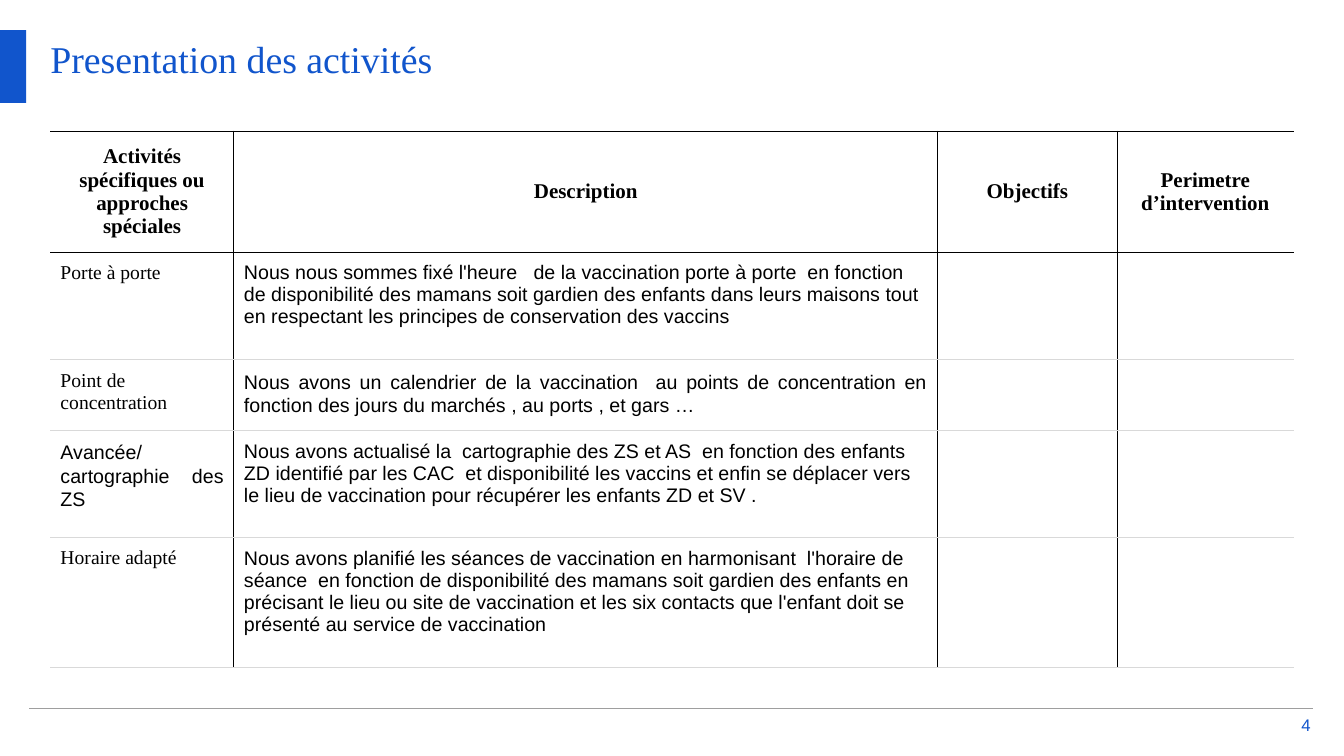
from dataclasses import dataclass

from lxml.etree import SubElement
from pptx import Presentation
from pptx.dml.color import RGBColor
from pptx.enum.shapes import MSO_CONNECTOR, MSO_SHAPE
from pptx.enum.text import MSO_ANCHOR, PP_ALIGN
from pptx.oxml.ns import qn
from pptx.util import Inches, Pt

BLUE, BLACK, GREY, RULE = "1155CC", "000000", "D9D9D9", "9E9E9E"
SERIF, SANS = "Times New Roman", "Arial"


@dataclass
class Row:
    name: str
    text: str
    height: float
    font: str = SERIF
    name_just: bool = False
    text_just: bool = False


HEADS = ["Activités spécifiques ou approches spéciales", "Description",
         "Objectifs", "Perimetre d’intervention"]
WIDTHS = [1.82, 6.98, 1.78, 1.75]
HEAD_H = 1.11
ROWS = [
    Row("Porte à porte",
        "Nous nous sommes fixé l'heure   de la vaccination porte à porte  en fonction "
        "de disponibilité des mamans soit gardien des enfants dans leurs maisons tout "
        "en respectant les principes de conservation des vaccins", 1.07),
    Row("Point de concentration",
        "Nous avons un calendrier de la vaccination  au points de concentration en "
        "fonction des jours du marchés , au ports , et gars …", 0.68, text_just=True),
    Row("Avancée/cartographie des ZS",
        "Nous avons actualisé la  cartographie des ZS et AS  en fonction des enfants "
        "ZD identifié par les CAC  et disponibilité les vaccins et enfin se déplacer vers "
        "le lieu de vaccination pour récupérer les enfants ZD et SV .", 1.06,
        font=SANS, name_just=True),
    Row("Horaire adapté",
        "Nous avons planifié les séances de vaccination en harmonisant  l'horaire de "
        "séance  en fonction de disponibilité des mamans soit gardien des enfants en "
        "précisant le lieu ou site de vaccination et les six contacts que l'enfant doit se "
        "présenté au service de vaccination", 1.29),
]


def color(code: str) -> RGBColor:
    return RGBColor.from_string(code)


def write(frame, text: str, *, size: float, font: str, ink: str = BLACK,
          bold: bool = False, align=PP_ALIGN.LEFT, lead: float | None = None) -> None:
    para = frame.paragraphs[0]
    para.alignment = align
    if lead:
        para.line_spacing = lead
    run = para.add_run()
    run.text = text
    run.font.size, run.font.name, run.font.bold = Pt(size), font, bold
    run.font.color.rgb = color(ink)


def add_text(slide, box: tuple, text: str, *, anchor=MSO_ANCHOR.TOP, **style) -> None:
    frame = slide.shapes.add_textbox(*map(Inches, box)).text_frame
    frame.word_wrap = True
    frame.vertical_anchor = anchor
    frame.margin_left = frame.margin_right = frame.margin_top = frame.margin_bottom = 0
    write(frame, text, **style)


def add_edge(cell, side: str, ink: str | None) -> None:
    line = SubElement(cell._tc.get_or_add_tcPr(), qn(f"a:ln{side}"), w=str(Pt(0.75)))
    if ink is None:
        SubElement(line, qn("a:noFill"))
    else:
        fill = SubElement(line, qn("a:solidFill"))
        SubElement(fill, qn("a:srgbClr"), val=ink)


def style_cell(cell, row: int, col: int) -> None:
    cell.margin_left = cell.margin_right = Inches(0.1)
    cell.margin_top = cell.margin_bottom = Inches(0.1)
    cell.vertical_anchor = MSO_ANCHOR.TOP if row else MSO_ANCHOR.MIDDLE
    add_edge(cell, "L", BLACK if col else None)
    add_edge(cell, "R", BLACK if col < len(WIDTHS) - 1 else None)
    add_edge(cell, "T", BLACK if row < 2 else GREY)
    add_edge(cell, "B", GREY if row else BLACK)
    cell.fill.background()


def add_grid(slide) -> None:
    heights = [HEAD_H] + [row.height for row in ROWS]
    box = map(Inches, (0.5, 1.3, sum(WIDTHS), sum(heights)))
    table = slide.shapes.add_table(len(heights), len(WIDTHS), *box).table
    table.first_row = table.horz_banding = False
    for col, width in enumerate(WIDTHS):
        table.columns[col].width = Inches(width)
    for row, height in enumerate(heights):
        table.rows[row].height = Inches(height)
        for col in range(len(WIDTHS)):
            style_cell(table.cell(row, col), row, col)

    # Header and body text
    for col, head in enumerate(HEADS):
        write(table.cell(0, col).text_frame, head, size=15, font=SERIF,
              bold=True, align=PP_ALIGN.CENTER)
    for num, row in enumerate(ROWS, 1):
        parts = [(row.name, row.font, row.name_just), (row.text, SANS, row.text_just)]
        for col, (text, font, just) in enumerate(parts):
            write(table.cell(num, col).text_frame, text, size=14, font=font,
                  align=PP_ALIGN.JUSTIFY if just else PP_ALIGN.LEFT,
                  lead=1.07 if just else None)


def main() -> None:
    deck = Presentation()
    deck.slide_width, deck.slide_height = Inches(13.33), Inches(7.5)
    slide = deck.slides.add_slide(deck.slide_layouts[6])

    # Title and side bar
    add_text(slide, (0.5, 0.35, 12.33, 0.8), "Presentation des activités",
             size=27, font=SERIF, ink=BLUE)
    bar = slide.shapes.add_shape(MSO_SHAPE.RECTANGLE, *map(Inches, (0, 0.3, 0.26, 0.72)))
    bar.shadow.inherit = False
    bar.fill.solid()
    bar.fill.fore_color.rgb = color(BLUE)
    bar.line.fill.background()

    # Footer: page number and rule
    add_text(slide, (12.75, 7.1, 0.25, 0.18), "4", anchor=MSO_ANCHOR.MIDDLE,
             size=12, font=SANS, ink=BLUE, align=PP_ALIGN.RIGHT)
    rule = slide.shapes.add_connector(MSO_CONNECTOR.STRAIGHT,
                                      *map(Inches, (0.29, 7.03, 13.02, 7.03)))
    rule.line.color.rgb = color(RULE)
    rule.line.width = Pt(1)
    SubElement(rule._element.spPr, qn("a:effectLst"))

    # Activities table
    add_grid(slide)
    deck.save("out.pptx")


if __name__ == "__main__":
    main()
